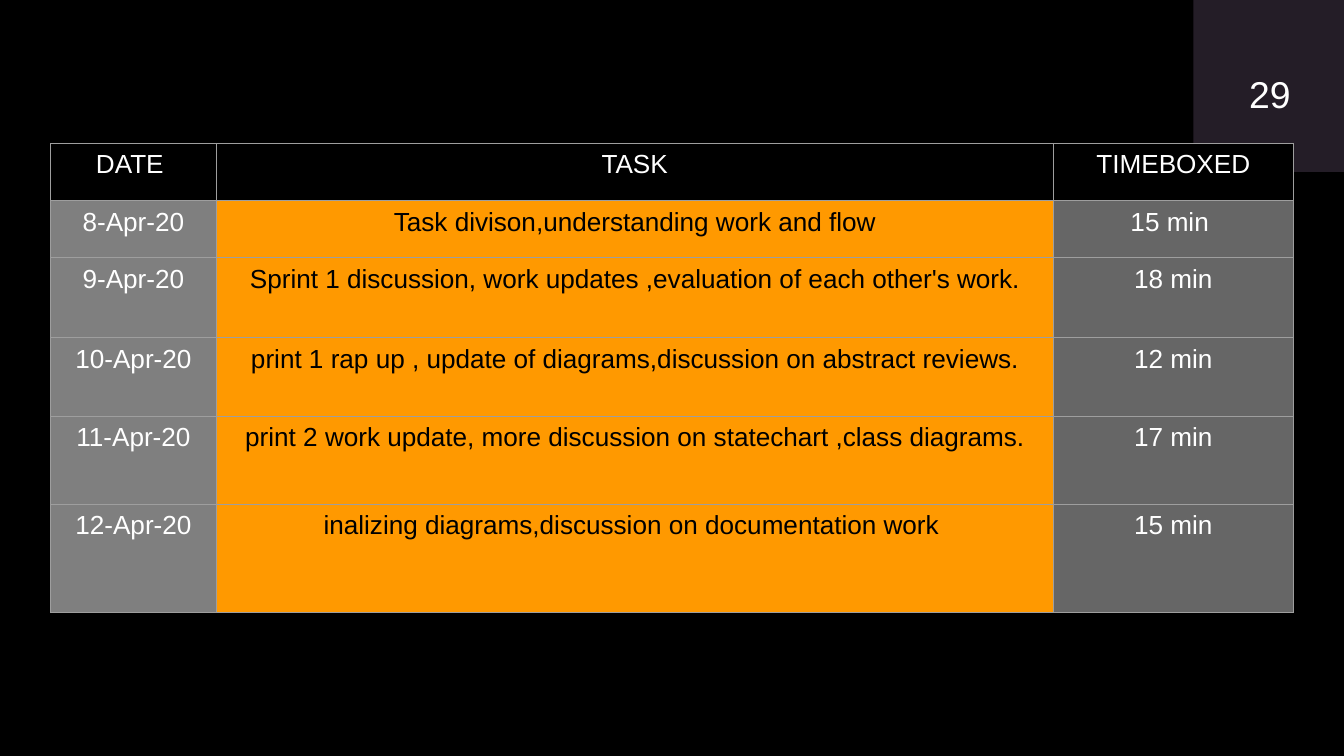
from lxml.etree import SubElement
from pptx import Presentation
from pptx.dml.color import RGBColor
from pptx.enum.shapes import MSO_SHAPE
from pptx.enum.text import PP_ALIGN
from pptx.oxml.ns import qn
from pptx.util import Pt


def paint(fill, color):
    fill.solid()
    fill.fore_color.rgb = RGBColor.from_string(color)


def write(frame, text, size, color, inset):
    frame.word_wrap = True
    frame.margin_left = frame.margin_right = Pt(inset)
    frame.margin_top = frame.margin_bottom = Pt(inset)
    frame.text = text
    para = frame.paragraphs[0]
    para.alignment = PP_ALIGN.CENTER
    span = para.runs[0]
    span.font.name = "Arial"
    span.font.size = Pt(size)
    paint(span.font.fill, color)
    return para


deck = Presentation()
deck.slide_width = Pt(1440)
deck.slide_height = Pt(810)
page = deck.slides.add_slide(deck.slide_layouts[6])
paint(page.background.fill, "000000")

corner = page.shapes.add_shape(MSO_SHAPE.RECTANGLE, Pt(1278.7), Pt(0), Pt(161.3), Pt(184.3))
corner.shadow.inherit = False
corner.line.fill.background()
paint(corner.fill, "241D27")

number_box = page.shapes.add_textbox(Pt(1321.2), Pt(67), Pt(78.5), Pt(48.2))
write(number_box.text_frame, "29", 40, "FFFFFF", 0).line_spacing = 1.2

rows = [
    ("DATE ", "TASK", "TIMEBOXED"),
    ("8-Apr-20", "Task divison,understanding work and flow", "15 min "),
    ("9-Apr-20", "Sprint 1 discussion, work updates ,evaluation of each other's work.", "18 min"),
    ("10-Apr-20", "print 1 rap up , update of diagrams,discussion on abstract reviews.", "12 min"),
    ("11-Apr-20", "print 2 work update, more discussion on statechart ,class diagrams.", "17 min"),
    ("12-Apr-20", "inalizing diagrams,discussion on documentation work ", "15 min"),
]
column_widths = [177.8, 896.4, 257.8]
row_heights = [61.2, 61.2, 85.7, 84.2, 94.3, 115.9]
header_style = ("000000", "FFFFFF")
column_styles = [("7F7F7F", "FFFFFF"), ("FF9900", "000000"), ("666666", "FFFFFF")]

schedule = page.shapes.add_table(
    len(rows), len(column_widths), Pt(54), Pt(153.8), Pt(sum(column_widths)), Pt(sum(row_heights))
).table
for column, width in zip(schedule.columns, column_widths):
    column.width = Pt(width)
for row, height in zip(schedule.rows, row_heights):
    row.height = Pt(height)

for row_index, texts in enumerate(rows):
    for column_index, text in enumerate(texts):
        cell = schedule.cell(row_index, column_index)
        fill_color, text_color = column_styles[column_index] if row_index else header_style
        write(cell.text_frame, text, 28, text_color, 0)
        cell.margin_left = cell.margin_right = Pt(7.2)
        cell.margin_top = cell.margin_bottom = Pt(7.2)
        properties = cell._tc.get_or_add_tcPr()
        for side in ("a:lnL", "a:lnR", "a:lnT", "a:lnB"):
            border = SubElement(properties, qn(side), w=str(Pt(0.75)))
            border_fill = SubElement(border, qn("a:solidFill"))
            SubElement(border_fill, qn("a:srgbClr"), val="9E9E9E")
        paint(cell.fill, fill_color)

deck.save("out.pptx")
